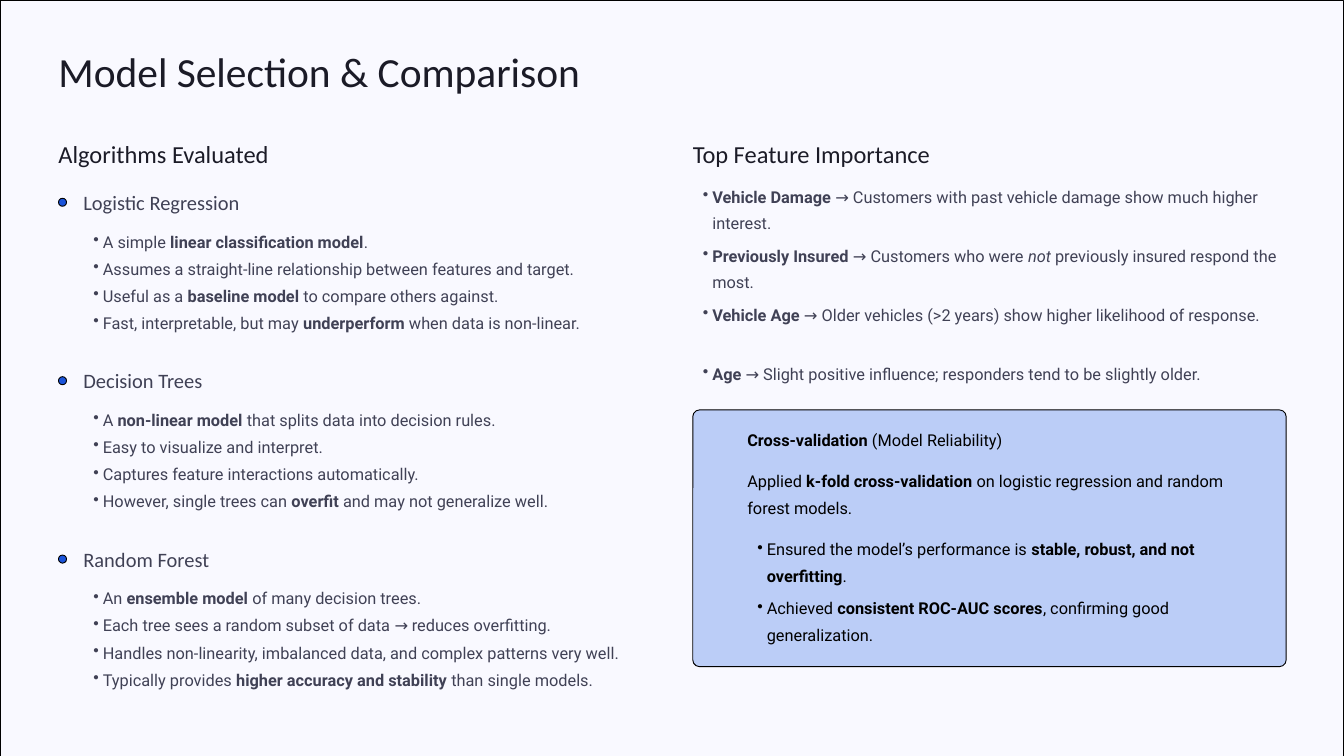
"""Build the model selection and comparison slide on a 20 by 11.25 cell grid."""
from dataclasses import dataclass
from typing import NamedTuple

from lxml.etree import SubElement
from pptx import Presentation
from pptx.dml.color import RGBColor
from pptx.enum.shapes import MSO_SHAPE as Preset
from pptx.enum.text import MSO_AUTO_SIZE as AutoSize
from pptx.oxml.ns import qn
from pptx.slide import Slide
from pptx.util import Inches, Pt

COLUMNS, ROWS = 20, 11.25
WIDTH, HEIGHT = Inches(20), Inches(11.25)


class TextStyle(NamedTuple):
    font: str
    size: float
    leading: float
    color: str


@dataclass(frozen=True)
class Theme:
    background: str = "F9F9FF"
    line: str = "000000"
    dot: str = "1B54DA"
    panel: str = "BBCDF7"
    title: TextStyle = TextStyle("Calibri", 44.4, 55.6, "1B1B27")
    heading: TextStyle = TextStyle("Calibri", 26.2, 33.1, "1B1B27")
    subheading: TextStyle = TextStyle("Calibri", 21.9, 27.5, "404155")
    body: TextStyle = TextStyle("Roboto", 17.5, 28.1, "404155")
    panel_body: TextStyle = TextStyle("Roboto", 17.5, 28.1, "000000")


class Box(NamedTuple):
    column: float
    row: float
    columns: float
    rows: float

    def lengths(self) -> tuple[int, int, int, int]:
        """Return left, top, width and height on the slide."""
        across, down = WIDTH / COLUMNS, HEIGHT / ROWS
        return (round(self.column * across), round(self.row * down),
                round(self.columns * across), round(self.rows * down))


class Algorithm(NamedTuple):
    name: str
    points: tuple[str, ...]


class TextBlock(NamedTuple):
    text: str
    row: float
    rows: float
    bullet: bool = True


THEME = Theme()
LEFT, RIGHT, INDENT, PANEL_TEXT = 0.87, 10.31, 1.24, 11.12
FIRST_ROW, GROUP_PITCH, POINT_PITCH = 2.81, 2.655, 0.403

ALGORITHMS = (
    Algorithm("Logistic Regression", (
        "A simple **linear classification model**.",
        "Assumes a straight-line relationship between features and target.",
        "Useful as a **baseline model** to compare others against.",
        "Fast, interpretable, but may **underperform** when data is non-linear.",
    )),
    Algorithm("Decision Trees", (
        "A **non-linear model** that splits data into decision rules.",
        "Easy to visualize and interpret.",
        "Captures feature interactions automatically.",
        "However, single trees can **overfit** and may not generalize well.",
    )),
    Algorithm("Random Forest", (
        "An **ensemble model** of many decision trees.",
        "Each tree sees a random subset of data → reduces overfitting.",
        "Handles non-linearity, imbalanced data, and complex patterns very well.",
        "Typically provides **higher accuracy and stability** than single models.",
    )),
)
FEATURES = (
    TextBlock("**Vehicle Damage** → Customers with past vehicle damage show much higher interest.",
              2.68, 0.9),
    TextBlock("**Previously Insured** → Customers who were _not_ previously insured respond the most.",
              3.56, 0.9),
    TextBlock("**Vehicle Age** → Older vehicles (>2 years) show higher likelihood of response.",
              4.44, 0.9),
    TextBlock("**Age** → Slight positive influence; responders tend to be slightly older.",
              5.32, 0.5),
)
VALIDATION = (
    TextBlock("**Cross-validation** (Model Reliability)", 6.3, 0.5, False),
    TextBlock("Applied **k-fold cross-validation** on logistic regression and random forest models.",
              6.92, 0.9, False),
    TextBlock("Ensured the model’s performance is **stable, robust, and not overfitting**.",
              7.93, 0.9),
    TextBlock("Achieved **consistent ROC-AUC scores**, confirming good generalization.",
              8.81, 0.9),
)


def add_filled(slide: Slide, preset: Preset, box: Box, fill: str, radius: float = 0) -> None:
    """Draw an outlined preset shape, with rounded corners if a radius is given."""
    shape = slide.shapes.add_shape(preset, *box.lengths())
    shape.shadow.inherit = False
    shape.fill.solid()
    shape.fill.fore_color.rgb = RGBColor.from_string(fill)
    shape.line.color.rgb = RGBColor.from_string(THEME.line)
    shape.line.width = Pt(1)
    if radius:
        shape.adjustments[0] = radius / min(box.columns, box.rows)


def add_text(slide: Slide, box: Box, text: str, style: TextStyle, bullet: bool = False) -> None:
    """Write one paragraph, with ** around bold words and _ around italic ones."""
    frame = slide.shapes.add_textbox(*box.lengths()).text_frame
    frame.margin_left = frame.margin_top = frame.margin_right = frame.margin_bottom = 0
    frame.word_wrap = True
    frame.auto_size = AutoSize.SHAPE_TO_FIT_TEXT
    paragraph = frame.paragraphs[0]
    paragraph.line_spacing = Pt(style.leading)
    if bullet:
        paragraph.level = 1
        properties = paragraph._p.get_or_add_pPr()
        properties.set("marL", str(Inches(0.29)))
        properties.set("indent", str(Inches(-0.14)))
        SubElement(properties, qn("a:buChar")).set("char", "•")
    paragraph.font.name = style.font
    paragraph.font.size = Pt(style.size)
    paragraph.font.color.rgb = RGBColor.from_string(style.color)
    for bold_index, part in enumerate(text.split("**")):
        for italic_index, words in enumerate(part.split("_")):
            if words:
                run = paragraph.add_run()
                run.text = words
                run.font.bold = bold_index % 2 == 1
                run.font.italic = italic_index % 2 == 1


def add_algorithm(slide: Slide, algorithm: Algorithm, row: float) -> None:
    """Draw a dot, the algorithm's name and its points."""
    add_filled(slide, Preset.OVAL, Box(LEFT, row + 0.14, 0.12, 0.12), THEME.dot)
    add_text(slide, Box(INDENT, row, 3.09, 0.4), algorithm.name, THEME.subheading)
    for index, point in enumerate(algorithm.points):
        box = Box(INDENT, row + 0.54 + index * POINT_PITCH, 8.46, 0.42)
        add_text(slide, box, point, THEME.body, bullet=True)


def add_blocks(slide: Slide, blocks: tuple[TextBlock, ...], column: float,
               columns: float, style: TextStyle) -> None:
    """Write text blocks that share one column."""
    for block in blocks:
        box = Box(column, block.row, columns, block.rows)
        add_text(slide, box, block.text, style, block.bullet)


def main() -> None:
    """Build and save the presentation."""
    presentation = Presentation()
    presentation.slide_width, presentation.slide_height = WIDTH, HEIGHT
    slide = presentation.slides.add_slide(presentation.slide_layouts[6])
    add_filled(slide, Preset.RECTANGLE, Box(0, 0, COLUMNS, ROWS), THEME.background)
    add_text(slide, Box(LEFT, 0.66, 9.46, 0.79), "Model Selection & Comparison", THEME.title)
    add_text(slide, Box(LEFT, 2.05, 4.01, 0.49), "Algorithms Evaluated", THEME.heading)
    for index, algorithm in enumerate(ALGORITHMS):
        add_algorithm(slide, algorithm, FIRST_ROW + index * GROUP_PITCH)
    add_text(slide, Box(RIGHT, 2.05, 4.45, 0.49), "Top Feature Importance", THEME.heading)
    add_blocks(slide, FEATURES, RIGHT, 8.83, THEME.body)
    add_filled(slide, Preset.ROUNDED_RECTANGLE, Box(RIGHT, 6.1, 8.83, 3.82), THEME.panel, 0.1)
    add_blocks(slide, VALIDATION, PANEL_TEXT, 7.78, THEME.panel_body)
    presentation.save("out.pptx")


if __name__ == "__main__":
    main()
